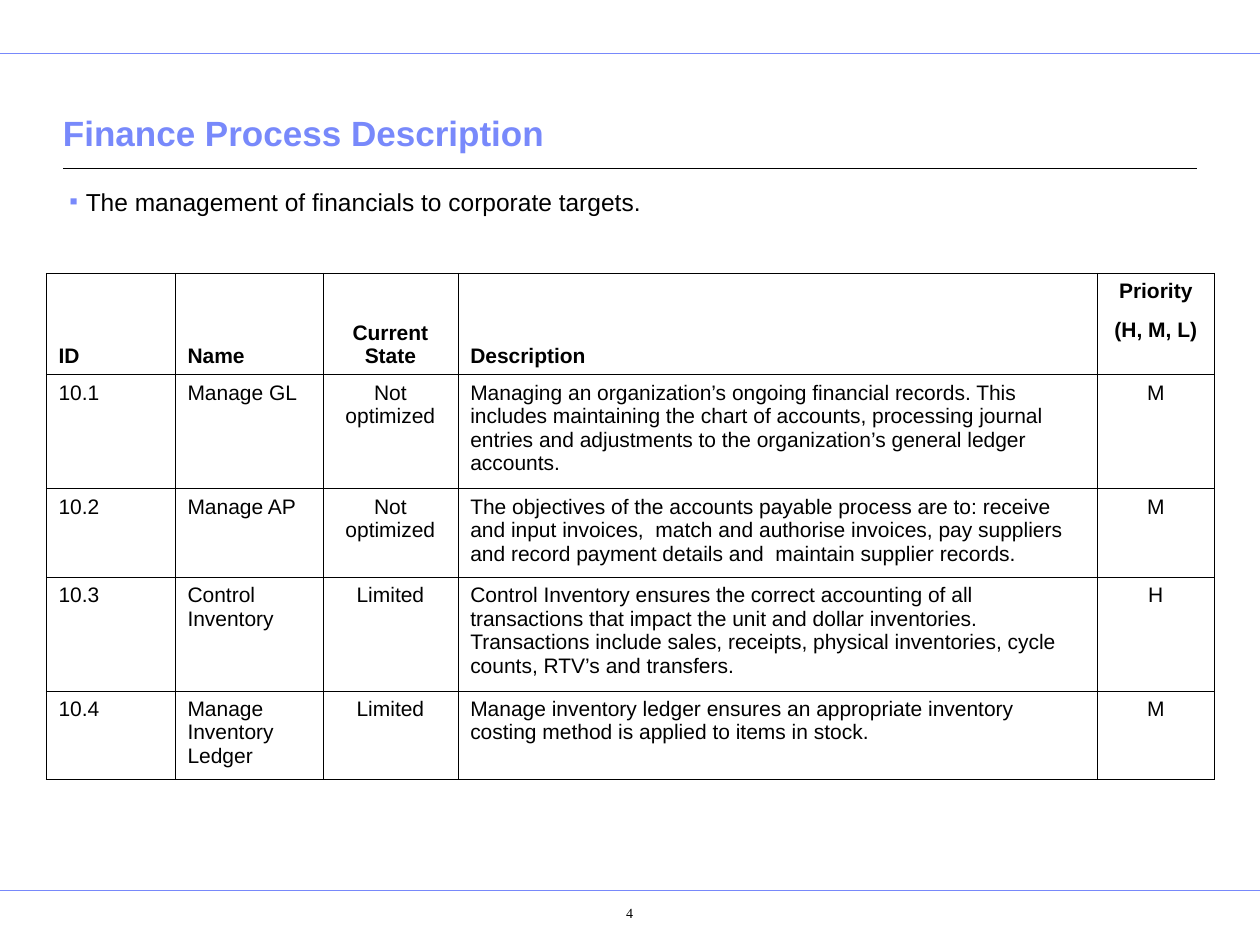
"""Build the finance process description slide."""
from dataclasses import dataclass

import pptx
import pptx.dml.color
import pptx.enum.shapes
import pptx.enum.text
import pptx.oxml
import pptx.oxml.ns
import pptx.util
from lxml import etree

Cm = pptx.util.Cm
Pt = pptx.util.Pt
RGBColor = pptx.dml.color.RGBColor
Align = pptx.enum.text.PP_ALIGN
Anchor = pptx.enum.text.MSO_ANCHOR
qn = pptx.oxml.ns.qn

BLACK = RGBColor(0x00, 0x00, 0x00)
WHITE = RGBColor(0xFF, 0xFF, 0xFF)
PERIWINKLE = RGBColor(0x78, 0x89, 0xFB)
SLIDE_W = 25.4
SIDES = ("L", "R", "T", "B")
BORDER_PT = 0.45
CELL_PT = 12
HEADER_ROWS = 2
MERGED_COLS = (0, 2, 3)
CENTRED_COLS = (2, 4)
COL_WIDTHS = (2.6, 2.98, 2.72, 12.9, 2.34)
ROW_HEIGHTS = (0.74, 1.22, 2.16, 1.68, 2.16, 1.68)
ROWS = (
    ("ID", "", "Current State", "Description", "Priority"),
    ("", "Name", "", "", "(H, M, L)"),
    ("10.1", "Manage GL", "Not optimized",
     "Managing an organization’s ongoing financial records. This includes maintaining "
     "the chart of accounts, processing journal entries and adjustments to the "
     "organization’s general ledger accounts.", "M"),
    ("10.2", "Manage AP", "Not optimized",
     "The objectives of the accounts payable process are to: receive and input invoices,  "
     "match and authorise invoices, pay suppliers and record payment details and  "
     "maintain supplier records.", "M"),
    ("10.3", "Control Inventory", "Limited",
     "Control Inventory ensures the correct accounting of all transactions that impact "
     "the unit and dollar inventories.  Transactions include sales, receipts, physical "
     "inventories, cycle counts, RTV’s and transfers.", "H"),
    ("10.4", "Manage Inventory Ledger", "Limited",
     "Manage inventory ledger ensures an appropriate inventory costing method is applied "
     "to items in stock.", "M"),
)


@dataclass(frozen=True)
class Rule:
    """A horizontal line across the slide, in centimetres."""
    left: float
    right: float
    y: float
    color: RGBColor
    width: float


@dataclass(frozen=True)
class Label:
    """A text box with one paragraph, in centimetres and points."""
    text: str
    box: tuple[float, float, float, float]
    insets: tuple[float, float, float, float]
    size: float
    color: RGBColor = BLACK
    font: str = "Arial"
    bold: bool = False
    align: Align = Align.LEFT
    anchor: Anchor = Anchor.TOP
    margin: float = 0
    hanging: float = 0
    spacing: float = 1.0
    bullet: str = ""


RULES = (
    Rule(0, SLIDE_W, 1.07, PERIWINKLE, 0.5),
    Rule(0, SLIDE_W, 17.96, PERIWINKLE, 0.5),
    Rule(1.27, 24.13, 3.4, BLACK, 0.75),
)
LABELS = (
    Label("Finance Process Description", (1.27, 1.63, 22.86, 1.6), (0, 0.13, 0, 0.13),
          20, PERIWINKLE, bold=True, anchor=Anchor.BOTTOM),
    Label("The management of financials to corporate targets.",
          (1.27, 3.61, 22.86, 14), (0.13, 0.13, 0.13, 0.13), 14,
          margin=0.33, hanging=0.33, spacing=1.04, bullet="▪"),
    Label("4", (10.85, 18.06, 2.92, 0.89), (0.41, 0.18, 0.25, 0.13), 8,
          font="Times New Roman", align=Align.CENTER, margin=0.61),
)


def draw_rule(s: pptx.slide.Slide, rule: Rule) -> None:
    """Draw one horizontal line."""
    sp = s.shapes.add_connector(pptx.enum.shapes.MSO_CONNECTOR.STRAIGHT,
                                Cm(rule.left), Cm(rule.y), Cm(rule.right), Cm(rule.y))
    sp.line.color.rgb = rule.color
    sp.line.width = Pt(rule.width)
    etree.SubElement(sp._element.spPr, qn("a:effectLst"))


def format_runs(p: pptx.text.text._Paragraph, font: str, size: float,
                color: RGBColor, bold: bool) -> None:
    """Set the font of every run in a paragraph."""
    for r in p.runs:
        r.font.name = font
        r.font.size = Pt(size)
        r.font.color.rgb = color
        r.font.bold = bold


def add_bullet(p: pptx.text.text._Paragraph, char: str) -> None:
    """Give a paragraph a coloured bullet."""
    pPr = p._p.get_or_add_pPr()
    color = etree.SubElement(pPr, qn("a:buClr"))
    etree.SubElement(color, qn("a:srgbClr"), val=str(PERIWINKLE))
    etree.SubElement(pPr, qn("a:buFont"), typeface="Arial")
    etree.SubElement(pPr, qn("a:buChar"), char=char)


def draw_label(s: pptx.slide.Slide, label: Label) -> None:
    """Draw one text box."""
    tf = s.shapes.add_textbox(*map(Cm, label.box)).text_frame
    tf.word_wrap = True
    tf.vertical_anchor = label.anchor
    tf.margin_left, tf.margin_top, tf.margin_right, tf.margin_bottom = map(Cm, label.insets)
    tf.text = label.text
    p = tf.paragraphs[0]
    p.alignment = label.align
    p.line_spacing = label.spacing
    pPr = p._p.get_or_add_pPr()
    pPr.set("marL", str(Cm(label.margin)))
    pPr.set("indent", str(-Cm(label.hanging)))
    if label.bullet:
        add_bullet(p, label.bullet)
    format_runs(p, label.font, label.size, label.color, label.bold)


def set_borders(cell: pptx.table._Cell, hidden: str) -> None:
    """Line the four sides of a cell, except the hidden one."""
    tcPr = cell._tc.get_or_add_tcPr()
    for i, side in enumerate(SIDES):
        ln = etree.Element(qn(f"a:ln{side}"), w=str(Pt(BORDER_PT)))
        if side == hidden:
            etree.SubElement(ln, qn("a:noFill"))
        else:
            fill = etree.SubElement(ln, qn("a:solidFill"))
            etree.SubElement(fill, qn("a:srgbClr"), val=str(BLACK))
        tcPr.insert(i, ln)


def fill_cell(cell: pptx.table._Cell, text: str, row: int, col: int) -> None:
    """Write and format one table cell."""
    header = row < HEADER_ROWS
    cell.fill.solid()
    cell.fill.fore_color.rgb = WHITE
    cell.margin_left = cell.margin_right = Cm(0.25)
    cell.margin_top = cell.margin_bottom = Cm(0.13)
    cell.vertical_anchor = Anchor.BOTTOM if header and col != 4 else Anchor.TOP
    cell.text_frame.text = text
    p = cell.text_frame.paragraphs[0]
    p.alignment = Align.CENTER if col in CENTRED_COLS else Align.LEFT
    format_runs(p, "Arial", CELL_PT, BLACK, header)
    if not text:
        etree.SubElement(p._p, qn("a:endParaRPr"), sz=str(CELL_PT * 100))
    split = header and col not in MERGED_COLS
    set_borders(cell, ("B", "T")[row] if split else "")


def draw_process_table(s: pptx.slide.Slide) -> None:
    """Draw the table of finance processes."""
    table = s.shapes.add_table(len(ROWS), len(COL_WIDTHS), Cm(0.93), Cm(5.51),
                               Cm(sum(COL_WIDTHS)), Cm(sum(ROW_HEIGHTS))).table
    table.first_row = table.horz_banding = False
    for column, width in zip(table.columns, COL_WIDTHS):
        column.width = Cm(width)
    for row, height in zip(table.rows, ROW_HEIGHTS):
        row.height = Cm(height)
    for i, texts in enumerate(ROWS):
        for j, text in enumerate(texts):
            fill_cell(table.cell(i, j), text, i, j)
    for j in MERGED_COLS:
        table.cell(0, j).merge(table.cell(HEADER_ROWS - 1, j))


def main() -> None:
    """Build and save the slide."""
    prs = pptx.Presentation()
    prs.slide_width, prs.slide_height = Cm(SLIDE_W), Cm(19.05)
    s = prs.slides.add_slide(prs.slide_layouts[6])
    for rule in RULES:
        draw_rule(s, rule)
    for label in LABELS:
        draw_label(s, label)
    draw_process_table(s)
    prs.save("out.pptx")


if __name__ == "__main__":
    main()
